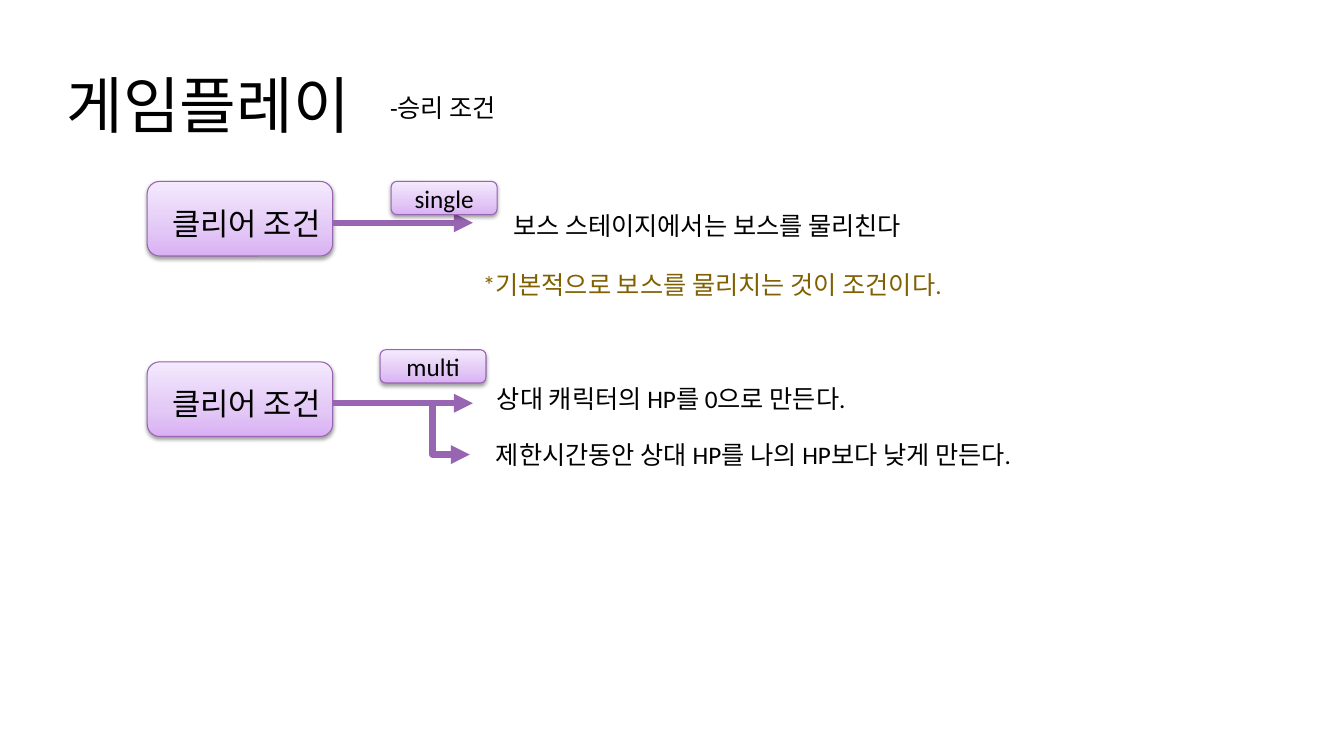
from copy import deepcopy

from lxml import etree
from pptx import Presentation
from pptx.dml.color import RGBColor
from pptx.enum import shapes, text
from pptx.oxml import ns
from pptx.util import Pt

PX = 9144  # EMU per px, 100 px to the inch
BLACK = RGBColor(0x00, 0x00, 0x00)
GOLD = RGBColor(0x80, 0x60, 0x00)
PURPLE = RGBColor(0x97, 0x65, 0xB2)
LILAC_STOPS = [
    (0, RGBColor(0xD9, 0xB0, 0xF4)),
    (0.35, RGBColor(0xE3, 0xC8, 0xF6)),
    (1, RGBColor(0xF4, 0xE9, 0xFD)),
]


class Board:
    """Holds the style and the current slide; lengths are in px."""

    body_font = "Calibri"
    title_font = "Arial"

    def __init__(self, page):
        self.page = page

    def style(self, frame, words, size, color=BLACK, font=body_font):
        frame.text = words
        for para in frame.paragraphs:
            for span in para.runs:
                span.font.name = font
                span.font.size = Pt(size)
                span.font.color.rgb = color

    def title(self, words, left, top, width, height):
        box = self.page.shapes.title
        box.left, box.top, box.width, box.height = (
            n * PX for n in (left, top, width, height))
        frame = box.text_frame
        frame.vertical_anchor = text.MSO_ANCHOR.MIDDLE
        self.style(frame, words, 44, font=self.title_font)
        frame.paragraphs[0].alignment = text.PP_ALIGN.LEFT
        frame.paragraphs[0].line_spacing = 0.9

    def label(self, words, left, top, width, height=40, size=18, color=BLACK):
        box = self.page.shapes.add_textbox(
            *(n * PX for n in (left, top, width, height)))
        frame = box.text_frame
        frame.word_wrap = False
        frame.auto_size = text.MSO_AUTO_SIZE.SHAPE_TO_FIT_TEXT
        self.style(frame, words, size, color)

    def panel(self, left, top, width, height, words=None):
        box = self.page.shapes.add_shape(
            shapes.MSO_SHAPE.ROUNDED_RECTANGLE,
            *(n * PX for n in (left, top, width, height)))
        box.line.color.rgb = PURPLE
        box.line.width = Pt(0.75)

        # Three-stop gradient, running upwards
        box.fill.gradient()
        box.fill.gradient_angle = 90
        stop_list = box._element.spPr.find(".//" + ns.qn("a:gsLst"))
        stop_list.append(deepcopy(stop_list[-1]))
        for stop, (position, color) in zip(box.fill.gradient_stops, LILAC_STOPS):
            stop.position = position
            stop.color.rgb = color

        # Soft shadow below
        box.shadow.inherit = False
        effects = box._element.spPr.find(ns.qn("a:effectLst"))
        shadow = etree.SubElement(
            effects, ns.qn("a:outerShdw"), blurRad=str(Pt(3.1)),
            dist=str(Pt(1.6)), dir="5400000", rotWithShape="0")
        shade = etree.SubElement(shadow, ns.qn("a:srgbClr"), val="000000")
        etree.SubElement(shade, ns.qn("a:alpha"), val="38000")

        if words:
            frame = box.text_frame
            frame.vertical_anchor = text.MSO_ANCHOR.MIDDLE
            self.style(frame, words, 18)
            frame.paragraphs[0].alignment = text.PP_ALIGN.CENTER

    def arrow(self, kind, x1, y1, x2, y2):
        line = self.page.shapes.add_connector(
            kind, *(n * PX for n in (x1, y1, x2, y2)))
        line.line.color.rgb = PURPLE
        line.line.width = Pt(4.5)
        etree.SubElement(line.line._get_or_add_ln(), ns.qn("a:tailEnd"),
                         type="triangle")
        etree.SubElement(line._element.spPr, ns.qn("a:effectLst"))


def main():
    deck = Presentation()
    deck.slide_width, deck.slide_height = 1333 * PX, 750 * PX
    board = Board(deck.slides.add_slide(deck.slide_layouts[5]))

    # Heading
    board.title("게임플레이", 56, 35, 1150, 145)
    board.label("-승리 조건", 377, 87, 140)

    # One row per game mode: condition box, arrow and mode tag
    for top, mode, tag_left, tag_top in [(180, "single", 388, 180),
                                         (359, "multi", 377, 347)]:
        board.panel(146, top, 184, 74)
        board.label("클리어 조건", 161, top + 18, 169, 47, size=22)
        board.arrow(shapes.MSO_CONNECTOR.STRAIGHT, 330, top + 41, 469, top + 41)
        board.panel(tag_left, tag_top, 105, 33, mode)

    # Branch to the second multi condition
    board.arrow(shapes.MSO_CONNECTOR.ELBOW, 392, 400, 466, 451)

    # Conditions
    board.label("보스 스테이지에서는 보스를 물리친다", 499, 204, 410)
    board.label("*기본적으로 보스를 물리치는 것이 조건이다.", 469, 262, 522, color=GOLD)
    board.label("상대 캐릭터의 HP를 0으로 만든다.", 483, 375, 394)
    board.label("제한시간동안 상대 HP를 나의 HP보다 낮게 만든다.", 482, 431, 573)

    deck.save("out.pptx")


if __name__ == "__main__":
    main()
